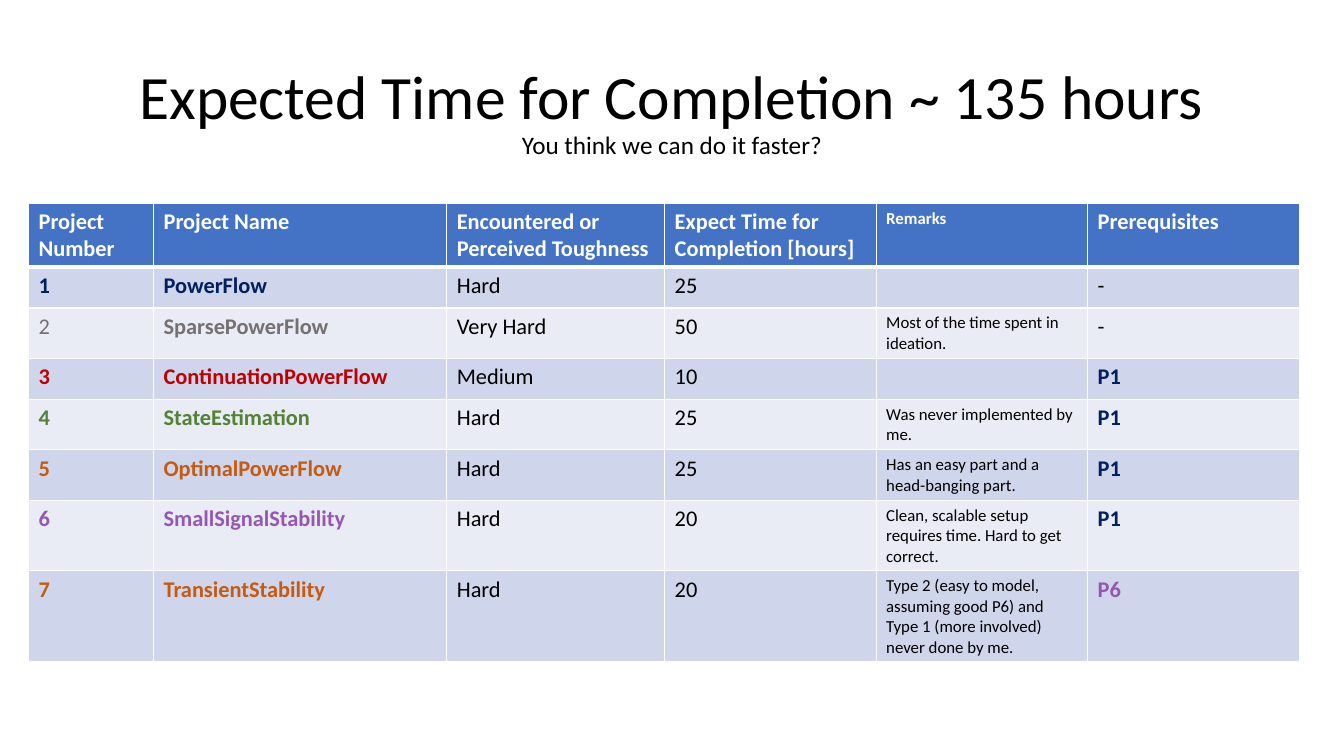
from lxml.etree import SubElement
from pptx import Presentation
from pptx.dml.color import RGBColor
from pptx.enum.text import MSO_ANCHOR, PP_ALIGN
from pptx.oxml.ns import qn
from pptx.util import Cm, Pt

BLACK = RGBColor(0x00, 0x00, 0x00)
WHITE = RGBColor(0xFF, 0xFF, 0xFF)
BLUE = RGBColor(0x44, 0x72, 0xC4)
BANDS = RGBColor(0xCF, 0xD5, 0xEA), RGBColor(0xE9, 0xEB, 0xF5)
NAVY = RGBColor(0x00, 0x20, 0x60)
GREY = RGBColor(0x76, 0x71, 0x71)
RED = RGBColor(0xC0, 0x00, 0x00)
GREEN = RGBColor(0x54, 0x82, 0x35)
ORANGE = RGBColor(0xC5, 0x5A, 0x11)
PURPLE = RGBColor(0x95, 0x58, 0xB2)

HEADERS = ["Project Number", "Project Name", "Encountered or Perceived Toughness",
           "Expect Time for Completion [hours]", "Remarks", "Prerequisites"]
REMARKS = HEADERS.index("Remarks")
COLUMN_WIDTHS = [3.15, 7.39, 5.49, 5.33, 5.33, 5.33]
HEADER_HEIGHT, ROW_HEIGHT = 1.14, 1.03

# name, colour, toughness, hours, remark, prerequisite project number
PROJECTS = [
    ("PowerFlow", NAVY, "Hard", 25, "", None),
    ("SparsePowerFlow", GREY, "Very Hard", 50, "Most of the time spent in ideation.", None),
    ("ContinuationPowerFlow", RED, "Medium", 10, "", 1),
    ("StateEstimation", GREEN, "Hard", 25, "Was never implemented by me.", 1),
    ("OptimalPowerFlow", ORANGE, "Hard", 25, "Has an easy part and a head-banging part.", 1),
    ("SmallSignalStability", PURPLE, "Hard", 20,
     "Clean, scalable setup requires time. Hard to get correct.", 1),
    ("TransientStability", ORANGE, "Hard", 20,
     "Type 2 (easy to model, assuming good P6) and Type 1 (more involved) "
     "never done by me.", 6),
]


def add_run(p, text, size=16, color=BLACK, bold=False):
    r = p.add_run()
    r.text = text
    r.font.name = "Calibri"
    r.font.size = Pt(size)
    r.font.bold = bold
    r.font.color.rgb = color


def set_borders(cell, top=1, bottom=1):
    """Draw white borders, with widths in points; call before filling the cell."""
    tcPr = cell._tc.get_or_add_tcPr()
    for side, width in (("L", 1), ("R", 1), ("T", top), ("B", bottom)):
        ln = SubElement(tcPr, qn(f"a:ln{side}"), w=str(Pt(width)))
        SubElement(SubElement(ln, qn("a:solidFill")), qn("a:srgbClr"), val=str(WHITE))


def fill_cell(cell, text, fill, top=1, bottom=1, **font):
    set_borders(cell, top, bottom)
    cell.fill.solid()
    cell.fill.fore_color.rgb = fill
    if text:
        add_run(cell.text_frame.paragraphs[0], text, **font)


def add_title(s, left, top, width, height):
    tf = s.shapes.add_textbox(Cm(left), Cm(top), Cm(width), Cm(height)).text_frame
    tf.word_wrap = True
    tf.vertical_anchor = MSO_ANCHOR.MIDDLE
    p = tf.paragraphs[0]
    p.alignment = PP_ALIGN.CENTER
    p.line_spacing = 0.9
    add_run(p, "Expected Time for Completion ~ 135 hours", size=44)
    p.add_line_break()
    add_run(p, "You think we can do it faster?", size=18)


def project_cells(number, name, color, toughness, hours, remark, needs):
    """Return the text and font of each cell in one project's row."""
    accent = dict(color=color, bold=True)
    if needs:
        prerequisite = f"P{needs}", dict(color=PROJECTS[needs - 1][1], bold=True)
    else:
        prerequisite = "-", {}
    return [(str(number), dict(color=color, bold=color != GREY)), (name, accent),
            (toughness, {}), (str(hours), {}), (remark, dict(size=12)), prerequisite]


def add_project_table(s, left, top):
    height = HEADER_HEIGHT + ROW_HEIGHT * len(PROJECTS)
    table = s.shapes.add_table(len(PROJECTS) + 1, len(HEADERS), Cm(left), Cm(top),
                               Cm(sum(COLUMN_WIDTHS)), Cm(height)).table
    for column, width in zip(table.columns, COLUMN_WIDTHS):
        column.width = Cm(width)
    for i, row in enumerate(table.rows):
        row.height = Cm(ROW_HEIGHT if i else HEADER_HEIGHT)

    for j, header in enumerate(HEADERS):
        fill_cell(table.cell(0, j), header, BLUE, bottom=3, color=WHITE, bold=True,
                  size=12 if j == REMARKS else 16)
    for i, project in enumerate(PROJECTS, start=1):
        for j, (text, font) in enumerate(project_cells(i, *project)):
            fill_cell(table.cell(i, j), text, BANDS[(i - 1) % 2],
                      top=3 if i == 1 else 1, **font)


def main():
    prs = Presentation()
    prs.slide_width, prs.slide_height = Cm(33.87), Cm(19.05)
    s = prs.slides.add_slide(prs.slide_layouts[6])
    add_title(s, 2.33, 1.01, 29.21, 3.68)
    add_project_table(s, 0.72, 5.12)
    prs.save("out.pptx")


if __name__ == "__main__":
    main()
